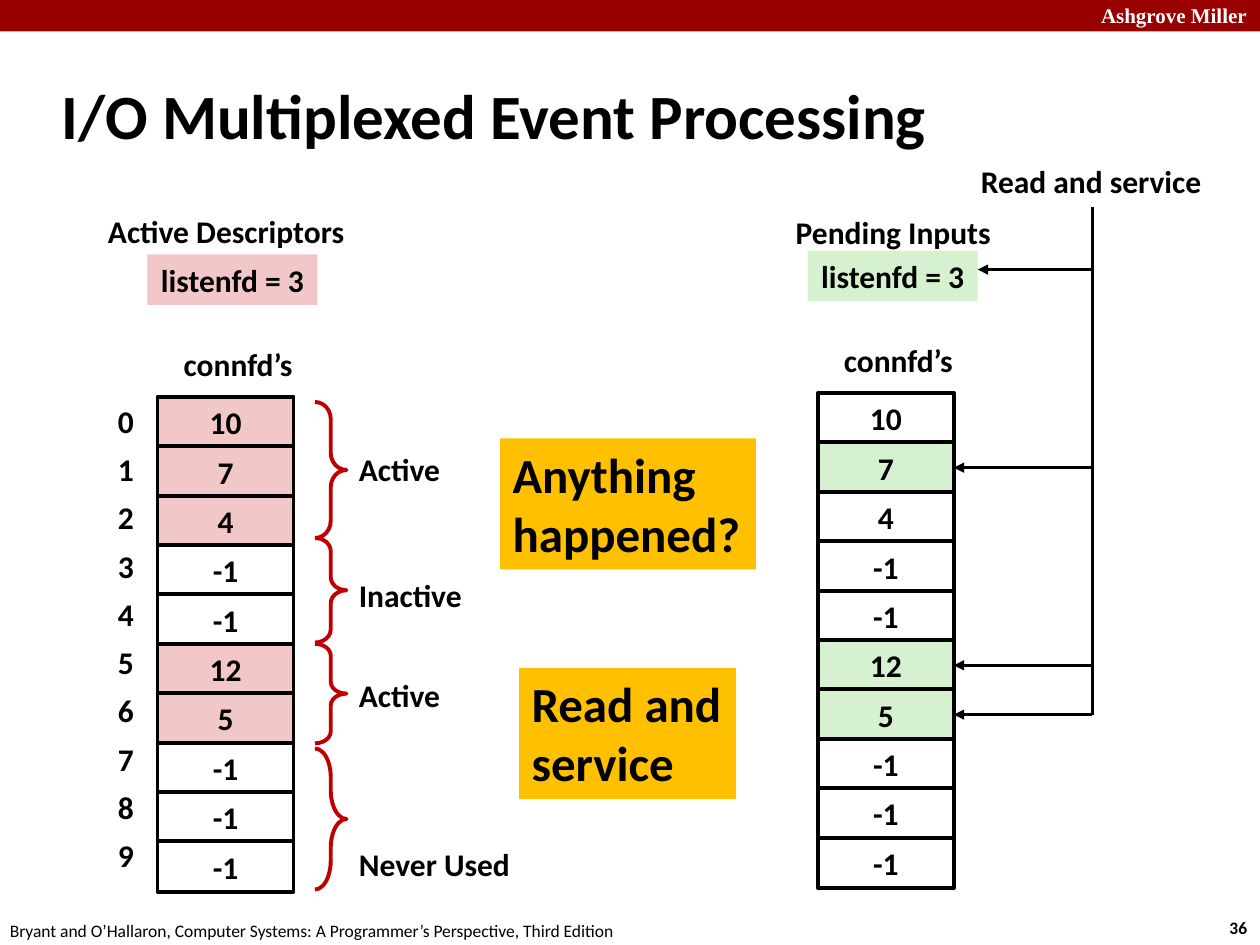
from dataclasses import dataclass

from lxml import etree
from pptx import Presentation
from pptx.dml.color import RGBColor
from pptx.enum.shapes import MSO_CONNECTOR, MSO_SHAPE
from pptx.enum.text import MSO_ANCHOR, PP_ALIGN
from pptx.oxml.ns import qn
from pptx.util import Inches, Pt

RECTANGLE, BRACE = MSO_SHAPE.RECTANGLE, MSO_SHAPE.RIGHT_BRACE
STRAIGHT = MSO_CONNECTOR.STRAIGHT
LEFT, CENTER, RIGHT = PP_ALIGN.LEFT, PP_ALIGN.CENTER, PP_ALIGN.RIGHT
TOP, MIDDLE = MSO_ANCHOR.TOP, MSO_ANCHOR.MIDDLE
RIGHT_SIDE = 3


@dataclass(frozen=True)
class Theme:
    font: str = "Calibri"
    header_font: str = "Times New Roman"
    ink: str = "000000"
    paper: str = "FFFFFF"
    banner: str = "990000"
    brace: str = "C00000"
    active: str = "F1C7C7"
    pending: str = "D5F1CF"
    callout: str = "FFC000"
    title_size: int = 36
    callout_size: int = 28
    body_size: int = 18
    header_size: int = 12
    footer_size: int = 10
    heavy: float = 2.25
    thin: float = 1.5


THEME = Theme()

# Content
HEADER = "Ashgrove Miller"
TITLE = "I/O Multiplexed Event Processing"
FOOTER = "Bryant and O’Hallaron, Computer Systems: A Programmer’s Perspective, Third Edition"
PAGE_NUMBER = "36"
LISTEN, CONNECTED = "listenfd = 3", "connfd’s"
DESCRIPTORS = [10, 7, 4, -1, -1, 12, 5, -1, -1, -1]
ACTIVE_ROWS = {0, 1, 2, 5, 6}
PENDING_ROWS = {1, 5, 6}
# left, top, fill, shaded rows
PANELS = {
    "active": (1.25, 3.15, THEME.active, ACTIVE_ROWS),
    "pending": (6.49, 3.12, THEME.pending, PENDING_ROWS),
}
HEADINGS = [
    ("Active Descriptors", (0.75, 1.63, 2.09)),
    ("Pending Inputs", (6.0, 1.64, 2.18)),
    ("Read and service", (7.57, 1.24, 2.18)),
]
# label, label top, label width, brace top, brace height, brace curve
RANGES = [
    ("Active", 3.52, 0.85, 3.19, 1.08, 0.542),
    ("Inactive", 4.52, 1.03, 4.27, 0.83, 0.417),
    ("Active", 5.32, 0.85, 5.11, 0.79, 0.375),
    ("Never Used", 6.66, 1.42, 5.94, 1.12, 0.917),
]
CALLOUTS = [
    ("Anything\nhappened?", (3.97, 3.48, 2.03, 1.04)),
    ("Read and\nservice", (4.12, 5.3, 1.72, 1.04)),
]

# Grid
SLIDE_WIDTH, SLIDE_HEIGHT = 10, 7.5
CELL_WIDTH, ROW_HEIGHT, ROW_PITCH = 1.08, 0.4, 0.392
INDEX_LEFT, INDEX_TOP, INDEX_PITCH = 0.08, 3.14, 0.383
BRACE_LEFT, BRACE_WIDTH = 2.5, 0.25
SPINE_X, SPINE_TOP, LISTEN_ARROW_Y = 8.67, 1.64, 2.14


def write(box, text, size=THEME.body_size, align=LEFT, anchor=TOP,
          bold=True, color=THEME.ink, font=THEME.font):
    frame = box.text_frame
    frame.word_wrap = True
    frame.vertical_anchor = anchor
    for number, line in enumerate(text.split("\n")):
        para = frame.add_paragraph() if number else frame.paragraphs[0]
        para.alignment = align
        span = para.add_run()
        span.text = line
        span.font.name, span.font.size, span.font.bold = font, Pt(size), bold
        span.font.color.rgb = RGBColor.from_string(color)


def add_text(page, area, text, **style):
    box = page.shapes.add_textbox(*map(Inches, area))
    write(box, text, **style)
    return box


def add_shape(page, kind, area, fill=None, line=None):
    shape = page.shapes.add_shape(kind, *map(Inches, area))
    shape.shadow.inherit = False
    if fill:
        shape.fill.solid()
        shape.fill.fore_color.rgb = RGBColor.from_string(fill)
    else:
        shape.fill.background()
    if line:
        shape.line.color.rgb = RGBColor.from_string(line)
        shape.line.width = Pt(THEME.heavy)
    else:
        shape.line.fill.background()
    return shape


def add_line(page, start, end, arrow=False):
    line = page.shapes.add_connector(STRAIGHT, *map(Inches, (*start, *end)))
    line.line.color.rgb = RGBColor.from_string(THEME.ink)
    line.line.width = Pt(THEME.thin)
    if arrow:
        etree.SubElement(line.line._get_or_add_ln(), qn("a:tailEnd"), type="triangle")
    etree.SubElement(line._element.spPr, qn("a:effectLst"))
    return line


def add_panel(page, left, top, fill, shaded):
    """Draw the listening box and the descriptor column; return the column's cells."""
    listen = add_shape(page, RECTANGLE, (left - 0.08, top - 1.13, 1.35, ROW_HEIGHT), fill)
    write(listen, LISTEN, align=CENTER)
    add_text(page, (left + 0.09, top - 0.46, 1.1, ROW_HEIGHT), CONNECTED, align=CENTER)
    cells = []
    for row, value in enumerate(DESCRIPTORS):
        area = (left, top + row * ROW_PITCH, CELL_WIDTH, ROW_HEIGHT)
        cell = add_shape(page, RECTANGLE, area,
                         fill if row in shaded else THEME.paper, THEME.ink)
        write(cell, str(value), align=CENTER, anchor=MIDDLE)
        cells.append(cell)
    return cells


def add_frame(page):
    """Draw the banner, title, footer and page number."""
    add_shape(page, RECTANGLE, (0, 0, SLIDE_WIDTH, 0.25), THEME.banner)
    add_text(page, (8.64, -0.03, 1.43, 0.3), HEADER, size=THEME.header_size,
             color=THEME.paper, font=THEME.header_font)
    add_text(page, (9.66, 7.23, 0.37, 0.27), PAGE_NUMBER, size=THEME.footer_size)
    add_text(page, (-0.02, 7.25, 5.08, 0.27), FOOTER, size=THEME.footer_size, bold=False)
    add_text(page, (0.39, 0.49, 8.3, 0.83), TITLE, size=THEME.title_size, anchor=MIDDLE)


def add_arrows(page, cells):
    """Lead from the service spine to each pending input."""
    left, top, _, rows = PANELS["pending"]
    edge = left + CELL_WIDTH
    add_line(page, (SPINE_X, LISTEN_ARROW_Y), (edge + 0.19, LISTEN_ARROW_Y), arrow=True)
    for row in sorted(rows):
        middle = top + row * ROW_PITCH + ROW_HEIGHT / 2
        arrow = add_line(page, (SPINE_X, middle), (edge, middle), arrow=True)
        arrow.end_connect(cells[row], RIGHT_SIDE)
    add_line(page, (SPINE_X, middle), (SPINE_X, SPINE_TOP))


def main():
    deck = Presentation()
    deck.slide_width, deck.slide_height = Inches(SLIDE_WIDTH), Inches(SLIDE_HEIGHT)
    page = deck.slides.add_slide(deck.slide_layouts[6])
    add_frame(page)
    columns = {name: add_panel(page, *panel) for name, panel in PANELS.items()}
    for row in range(len(DESCRIPTORS)):
        area = (INDEX_LEFT, INDEX_TOP + row * INDEX_PITCH, CELL_WIDTH, ROW_HEIGHT)
        add_text(page, area, str(row), align=RIGHT, anchor=MIDDLE)
    for label, label_top, width, top, height, curve in RANGES:
        brace = add_shape(page, BRACE, (BRACE_LEFT, top, BRACE_WIDTH, height),
                          line=THEME.brace)
        brace.adjustments[0] = curve
        add_text(page, (BRACE_LEFT + BRACE_WIDTH, label_top, width, ROW_HEIGHT), label)
    for heading, area in HEADINGS:
        add_text(page, (*area, ROW_HEIGHT), heading, align=CENTER)
    add_arrows(page, columns["pending"])
    for text, area in CALLOUTS:
        write(add_shape(page, RECTANGLE, area, THEME.callout), text,
              size=THEME.callout_size)
    deck.save("out.pptx")


if __name__ == "__main__":
    main()
